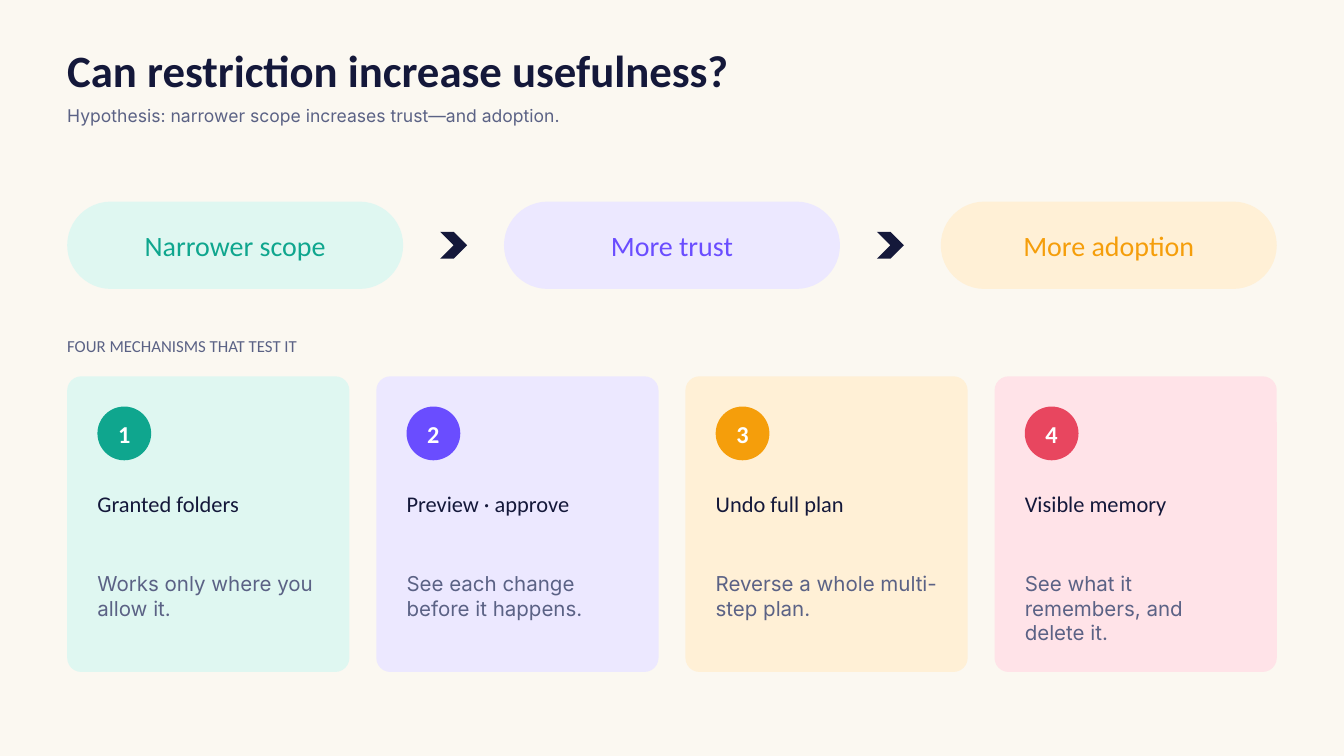
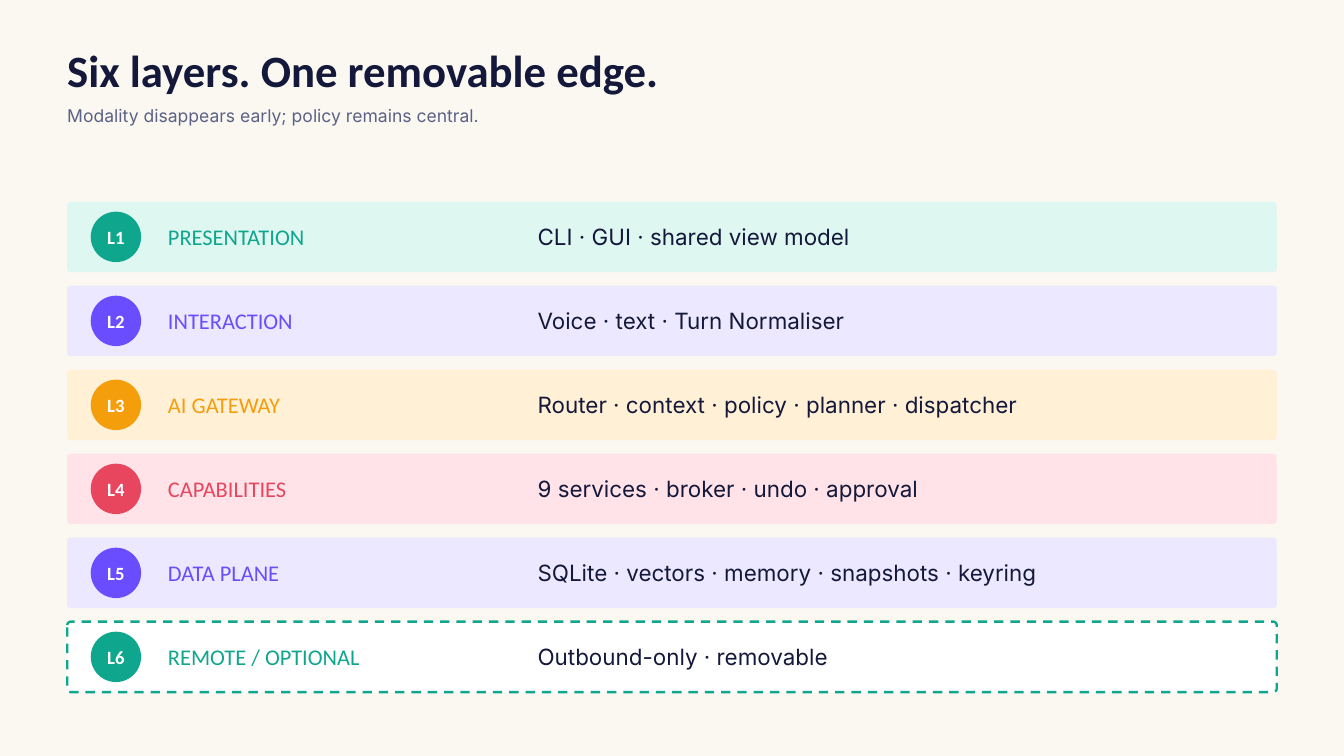
from pptx import Presentation
from pptx.dml.color import RGBColor
from pptx.enum.dml import MSO_LINE_DASH_STYLE as Dash
from pptx.enum.shapes import MSO_SHAPE as Shape
from pptx.enum.text import MSO_ANCHOR as Anchor, MSO_AUTO_SIZE as AutoSize, PP_ALIGN as Align
from pptx.util import Inches, Pt

CREAM = RGBColor(0xFB, 0xF8, 0xF1)
WHITE = RGBColor(0xFF, 0xFF, 0xFF)
NAVY = RGBColor(0x14, 0x18, 0x3A)
SLATE = RGBColor(0x5B, 0x62, 0x85)
TEAL = RGBColor(0x0F, 0xA6, 0x8E)
VIOLET = RGBColor(0x6A, 0x4D, 0xFF)
AMBER = RGBColor(0xF5, 0x9E, 0x0B)
ROSE = RGBColor(0xE8, 0x46, 0x5F)
TINTS = {
    TEAL: RGBColor(0xDF, 0xF7, 0xF1),
    VIOLET: RGBColor(0xEC, 0xE8, 0xFF),
    AMBER: RGBColor(0xFF, 0xF0, 0xD6),
    ROSE: RGBColor(0xFF, 0xE3, 0xE8),
}
HEADING_FONT = "Calibri"
BODY_FONT = "Inter"
MARGIN = 1


def add_block(slide, kind, left, top, width, height, fill, corner=None):
    """Add a flat preset shape without outline; corner is the rounding ratio."""
    block = slide.shapes.add_shape(kind, Inches(left), Inches(top), Inches(width), Inches(height))
    block.shadow.inherit = False
    block.fill.solid()
    block.fill.fore_color.rgb = fill
    block.line.fill.background()
    if corner is not None:
        block.adjustments[0] = corner
    return block


def write(shape, text, size, color, font=HEADING_FONT, bold=False,
          align=Align.LEFT, anchor=Anchor.TOP, spacing=None):
    """Fill a shape with one paragraph, without insets."""
    frame = shape.text_frame
    frame.text = text
    frame.word_wrap = True
    frame.auto_size = AutoSize.NONE
    frame.vertical_anchor = anchor
    frame.margin_left = frame.margin_right = frame.margin_top = frame.margin_bottom = 0
    paragraph = frame.paragraphs[0]
    paragraph.alignment = align
    if spacing:
        paragraph.line_spacing = Pt(spacing)
    run_font = paragraph.runs[0].font
    run_font.name = font
    run_font.size = Pt(size)
    run_font.bold = bold
    run_font.color.rgb = color


presentation = Presentation()
presentation.slide_width = Inches(20)
presentation.slide_height = Inches(11.25)
background = presentation.slide_master.background.fill
background.solid()
background.fore_color.rgb = CREAM

# Shared headings
headings = [
    ("Can restriction increase usefulness?",
     "Hypothesis: narrower scope increases trust—and adoption."),
    ("Six layers. One removable edge.",
     "Modality disappears early; policy remains central."),
]
for heading, subheading in headings:
    slide = presentation.slides.add_slide(presentation.slide_layouts[5])
    title = slide.shapes.title
    title.left, title.top = Inches(MARGIN), Inches(0.73)
    title.width, title.height = Inches(15.62), Inches(0.82)
    write(title, heading, 48, NAVY, bold=True, spacing=50.4)
    subtitle = slide.shapes.add_textbox(Inches(MARGIN), Inches(1.53), Inches(15.62), Inches(0.34))
    write(subtitle, subheading, 18.8, SLATE, BODY_FONT, spacing=25.3)

hypothesis_slide, layers_slide = presentation.slides

# Hypothesis: a chain of three pills
chain = [("Narrower scope", TEAL), ("More trust", VIOLET), ("More adoption", AMBER)]
PILL_WIDTH, PILL_GAP = 5, 1.5
CHEVRON = 0.4
for index, (label, color) in enumerate(chain):
    left = MARGIN + index * (PILL_WIDTH + PILL_GAP)
    if index > 0:
        add_block(hypothesis_slide, Shape.CHEVRON, left - (PILL_GAP + CHEVRON) / 2, 3.45,
                  CHEVRON, CHEVRON, NAVY)
    pill = add_block(hypothesis_slide, Shape.ROUNDED_RECTANGLE, left, 3,
                     PILL_WIDTH, 1.3, TINTS[color], 0.5)
    write(pill, label, 30, color, align=Align.CENTER, anchor=Anchor.MIDDLE)

section_label = hypothesis_slide.shapes.add_textbox(
    Inches(MARGIN), Inches(5), Inches(12), Inches(0.4))
write(section_label, "FOUR MECHANISMS THAT TEST IT", 18, SLATE)

# Hypothesis: four mechanism cards
mechanisms = [
    ("Granted folders", "Works only where you allow it.", TEAL),
    ("Preview · approve", "See each change before it happens.", VIOLET),
    ("Undo full plan", "Reverse a whole multi-step plan.", AMBER),
    ("Visible memory", "See what it remembers, and delete it.", ROSE),
]
CARD_WIDTH, CARD_GAP, CARD_PADDING = 4.2, 0.4, 0.45
for index, (name, description, color) in enumerate(mechanisms):
    left = MARGIN + index * (CARD_WIDTH + CARD_GAP)
    add_block(hypothesis_slide, Shape.ROUNDED_RECTANGLE, left, 5.6,
              CARD_WIDTH, 4.4, TINTS[color], 0.05)
    inner_left = left + CARD_PADDING
    badge = add_block(hypothesis_slide, Shape.OVAL, inner_left, 6.05, 0.8, 0.8, color)
    write(badge, str(index + 1), 26, WHITE, bold=True, align=Align.CENTER, anchor=Anchor.MIDDLE)
    name_box = hypothesis_slide.shapes.add_textbox(
        Inches(inner_left), Inches(7.3), Inches(3.3), Inches(0.9))
    write(name_box, name, 24, NAVY)
    description_box = hypothesis_slide.shapes.add_textbox(
        Inches(inner_left), Inches(8.5), Inches(3.3), Inches(1.3))
    write(description_box, description, 22, SLATE, BODY_FONT)

# Layers: six bands, the last one dashed as removable
layers = [
    ("PRESENTATION", "CLI · GUI · shared view model", TEAL),
    ("INTERACTION", "Voice · text · Turn Normaliser", VIOLET),
    ("AI GATEWAY", "Router · context · policy · planner · dispatcher", AMBER),
    ("CAPABILITIES", "9 services · broker · undo · approval", ROSE),
    ("DATA PLANE", "SQLite · vectors · memory · snapshots · keyring", VIOLET),
    ("REMOTE / OPTIONAL", "Outbound-only · removable", TEAL),
]
BAND_HEIGHT, BAND_GAP = 1.05, 0.2
for index, (name, contents, color) in enumerate(layers):
    top = 3 + index * (BAND_HEIGHT + BAND_GAP)
    band = add_block(layers_slide, Shape.ROUNDED_RECTANGLE, MARGIN, top,
                     18, BAND_HEIGHT, TINTS[color], 0.05)
    if index == len(layers) - 1:
        band.fill.fore_color.rgb = WHITE
        band.line.color.rgb = color
        band.line.width = Pt(2.5)
        band.line.dash_style = Dash.DASH
    badge = add_block(layers_slide, Shape.OVAL, 1.35, top + 0.15, 0.75, 0.75, color)
    write(badge, f"L{index + 1}", 20, WHITE, bold=True, align=Align.CENTER, anchor=Anchor.MIDDLE)
    name_box = layers_slide.shapes.add_textbox(
        Inches(2.5), Inches(top), Inches(5.2), Inches(BAND_HEIGHT))
    write(name_box, name, 24, color, anchor=Anchor.MIDDLE)
    contents_box = layers_slide.shapes.add_textbox(
        Inches(8), Inches(top), Inches(10.7), Inches(BAND_HEIGHT))
    write(contents_box, contents, 24, NAVY, BODY_FONT, anchor=Anchor.MIDDLE)

presentation.save("out.pptx")
